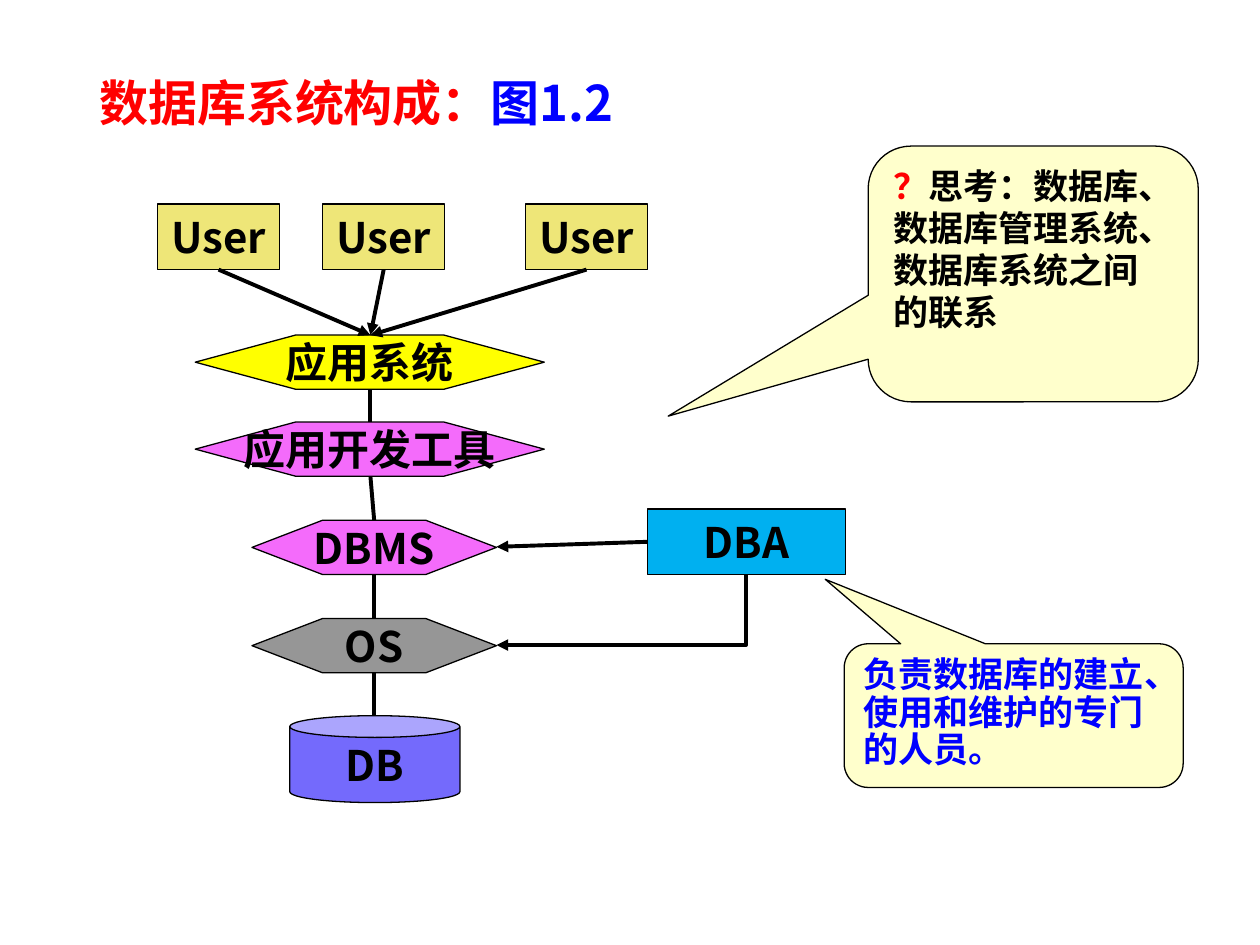
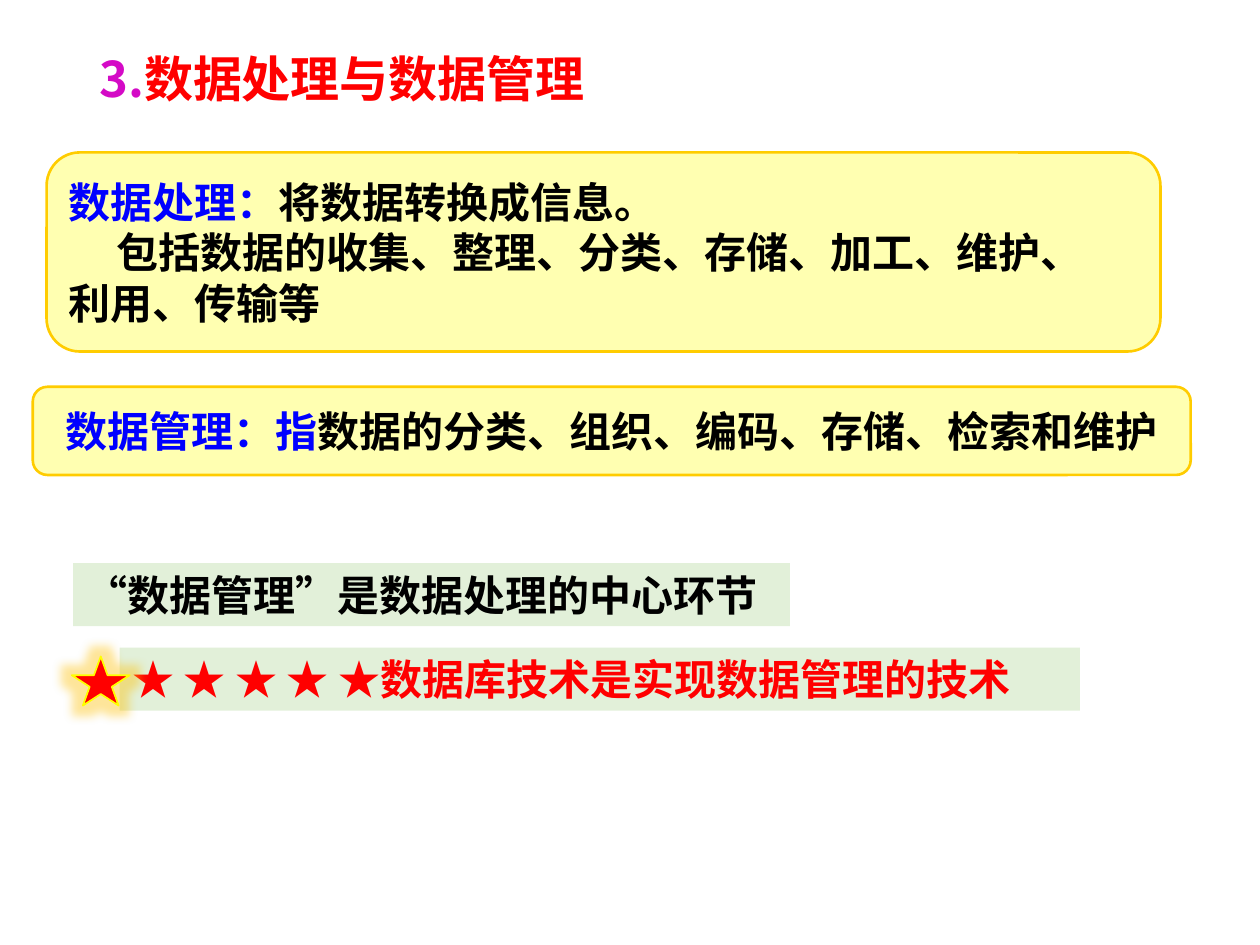
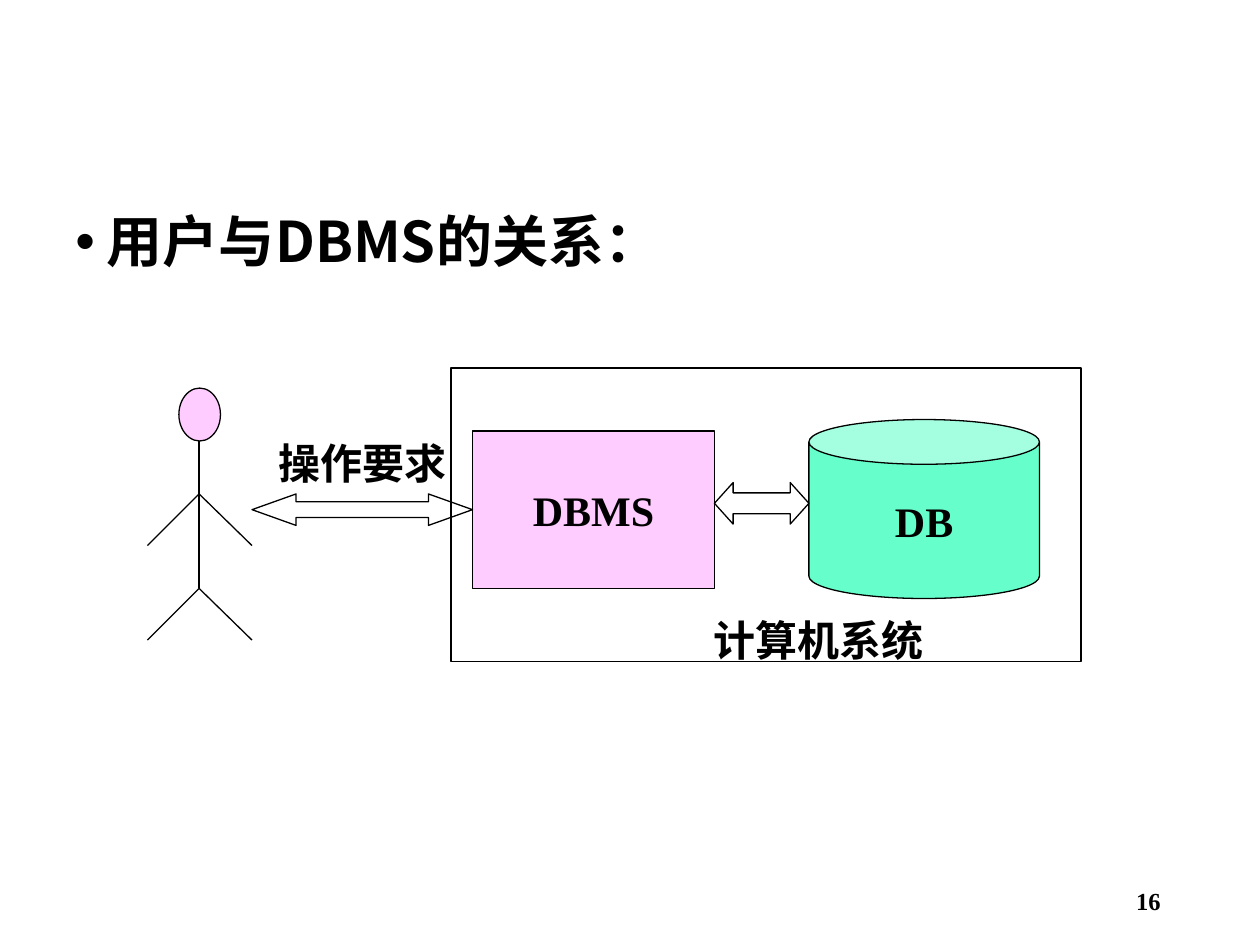
from dataclasses import dataclass
from lxml.etree import SubElement
from pptx import Presentation
from pptx.dml.color import RGBColor
from pptx.enum.shapes import MSO_CONNECTOR, MSO_SHAPE
from pptx.enum.text import MSO_ANCHOR, PP_ALIGN
from pptx.oxml.ns import qn
from pptx.util import Inches, Pt


@dataclass(frozen=True)
class Theme:
    sans: str = "Noto Sans CJK SC"
    serif: str = "Times New Roman"
    latin: str = "Roboto"
    black: str = "000000"
    white: str = "FFFFFF"
    red: str = "FF0000"
    blue: str = "0000FF"
    purple: str = "D40AC6"
    yellow: str = "FFFF00"
    glow: str = "FFC000"
    gold: str = "FFCC00"
    lemon: str = "FFFF99"
    cream: str = "FFFFCC"
    khaki: str = "EEE678"
    pink: str = "F46BFB"
    rose: str = "FFCCFF"
    gray: str = "969696"
    sky: str = "00B0F0"
    violet: str = "746AFC"
    mint: str = "66FFCC"
    leaf: str = "E2F0D9"
    page: int = 14
    note: int = 20
    body: int = 24
    title: int = 28
    head: int = 32
    thin: float = 0.75
    mid: float = 1.5
    thick: float = 2.25


T = Theme()
LEFT, MID, RIGHT = PP_ALIGN.LEFT, PP_ALIGN.CENTER, PP_ALIGN.RIGHT


def put(slide, kind, box, paras=(), fill=None, line=None, width=T.thin, adj=(),
        size=T.body, font=T.sans, align=MID, top=False, wrap=False, space=1):
    """Add a shape, or a text box if kind is None; paras hold (text, colour) runs."""
    area = [Inches(v) for v in box]
    if kind is None:
        shape = slide.shapes.add_textbox(*area)
    else:
        shape = slide.shapes.add_shape(kind, *area)
        shape.shadow.inherit = False
        for i, value in enumerate(adj):
            shape.adjustments[i] = value
        if fill:
            shape.fill.solid()
            shape.fill.fore_color.rgb = RGBColor.from_string(fill)
        else:
            shape.fill.background()
        if line:
            shape.line.color.rgb = RGBColor.from_string(line)
            shape.line.width = Pt(width)
        else:
            shape.line.fill.background()
    frame = shape.text_frame
    frame.word_wrap = wrap
    frame.vertical_anchor = MSO_ANCHOR.TOP if top else MSO_ANCHOR.MIDDLE
    for i, runs in enumerate(paras):
        para = frame.add_paragraph() if i else frame.paragraphs[0]
        para.alignment = align
        para.line_spacing = space
        for text, color in runs:
            run = para.add_run()
            run.text = text
            run.font.size = Pt(size)
            run.font.bold = True
            run.font.color.rgb = RGBColor.from_string(color)
            run.font.name = font
            SubElement(run.font._element, qn("a:ea"), typeface=T.sans)
    return shape


def link(slide, start, end, width=T.thin, arrow=False, kind=MSO_CONNECTOR.STRAIGHT):
    """Draw a black line from start to end."""
    wire = slide.shapes.add_connector(kind, *[Inches(v) for v in (*start, *end)])
    wire.line.color.rgb = RGBColor.from_string(T.black)
    wire.line.width = Pt(width)
    if arrow:
        SubElement(wire.line._get_or_add_ln(), qn("a:tailEnd"), type="triangle")
    SubElement(wire.element.spPr, qn("a:effectLst"))
    return wire


deck = Presentation()
deck.slide_width, deck.slide_height = Inches(10), Inches(7.5)
blank = deck.slide_layouts[6]
one, two, three = [deck.slides.add_slide(blank) for _ in range(3)]

# Titles of the first two slides
for slide, y, runs in (
    (one, 0.4, [("数据库系统构成：", T.red), ("图1.2", T.blue)]),
    (two, 0.21, [("3.", T.purple), ("数据处理与数据管理", T.red)]),
):
    put(slide, None, (0.69, y, 8.62, 0.87), [runs], size=T.title,
        align=LEFT, wrap=True, space=0.9)

# Slide 1: layers of the system
put(one, MSO_SHAPE.CAN, (2.3, 5.68, 1.35, 0.69), [[("DB", T.black)]],
    T.violet, T.black, adj=[0.25])
for text, x, y, w, bend, fill in (
    ("OS", 2, 4.91, 1.94, 1.3, T.gray),
    ("DBMS", 2, 4.13, 1.94, 1.3, T.pink),
    ("应用开发工具", 1.55, 3.35, 2.77, 1.85, T.pink),
    ("应用系统", 1.55, 2.66, 2.77, 1.85, T.yellow),
):
    put(one, MSO_SHAPE.HEXAGON, (x, y, w, 0.43), [[(text, T.black)]],
        fill, T.black, adj=[bend])
for start, end in (
    ((2.97, 5.34), (2.97, 5.68)),
    ((2.97, 4.56), (2.97, 4.91)),
    ((2.94, 3.78), (2.97, 4.13)),
    ((2.94, 3.09), (2.94, 3.35)),
):
    link(one, start, end, T.thick)

# Users and their arrows
for x in (1.25, 2.56, 4.17):
    user = put(one, MSO_SHAPE.RECTANGLE, (x, 1.62, 0.97, 0.52),
               [[("User", T.black)]], T.khaki, T.black)
    wire = link(one, (x + 0.485, 2.14), (2.94, 2.66), T.thick, True)
    wire.begin_connect(user, 2)

# DBA, with a straight arrow to DBMS and a bent one to OS
dba = put(one, MSO_SHAPE.RECTANGLE, (5.14, 4.04, 1.57, 0.52),
          [[("DBA", T.black)]], T.sky, T.black)
wire = link(one, (5.14, 4.3), (3.94, 4.34), T.thick, True)
wire.begin_connect(dba, 1)
bent = link(one, (4.65, 3.85), (5.21, 5.83), T.thick, True, MSO_CONNECTOR.ELBOW)
bent.element.spPr.find(qn("a:prstGeom")).set("prst", "bentConnector2")
bent.element.spPr.find(qn("a:xfrm")).set("rot", str(90 * 60000))

# Callouts
for box, tip, font, space, runs in (
    ((6.7, 5.11, 2.69, 1.14), (-0.556, -0.949), T.latin, 0.9,
     [("负责数据库的建立、使用和维护的专门的人员。", T.blue)]),
    ((6.89, 1.16, 2.62, 2.03), (-1.106, 0.556), T.sans, 1,
     [("？", T.red), ("思考：数据库、数据库管理系统、数据库系统之间的联系", T.black)]),
):
    put(one, MSO_SHAPE.ROUNDED_RECTANGULAR_CALLOUT, box, [runs], T.cream, T.black,
        adj=[*tip, 0.167], size=T.note, font=font, align=LEFT, top=True,
        wrap=True, space=space)

# Slide 2: two definitions on see-through panels
for box, align, paras in (
    ((0.37, 1.21, 8.84, 1.58), LEFT,
     [[("数据处理：", T.blue), ("将数据转换成信息。", T.black)],
      [("包括数据的收集、整理、分类、存储、加工、维护、", T.black)],
      [("利用、传输等", T.black)]]),
    ((0.26, 3.07, 9.19, 0.7), MID,
     [[("数据管理：指", T.blue),
       ("数据的分类、组织、编码、存储、检索和维护", T.black)]]),
):
    panel = put(two, MSO_SHAPE.FLOWCHART_ALTERNATE_PROCESS, box, paras,
                T.lemon, T.gold, T.mid, align=align)
    tint = panel.element.spPr.find(qn("a:solidFill")).find(qn("a:srgbClr"))
    SubElement(tint, qn("a:alpha"), val="76000")
    if len(paras) > 1:
        inset = panel.text_frame.paragraphs[1]._p.get_or_add_pPr()
        inset.set("indent", str(Inches(0.38)))

# Key points
for box, text, color in (
    ((0.58, 4.47, 5.69, 0.5), "“数据管理”是数据处理的中心环节", T.black),
    ((0.95, 5.14, 7.62, 0.5), "★ ★ ★ ★ ★数据库技术是实现数据管理的技术", T.red),
):
    put(two, MSO_SHAPE.RECTANGLE, box, [[(text, color)]], T.leaf, align=LEFT, top=True)

# Glowing star
star = put(two, MSO_SHAPE.STAR_5_POINT, (0.57, 5.21, 0.46, 0.39),
           fill=T.red, line=T.yellow, width=1)
glow = SubElement(star.element.spPr.find(qn("a:effectLst")), qn("a:glow"),
                  rad=str(Pt(11)))
tint = SubElement(glow, qn("a:srgbClr"), val=T.glow)
SubElement(tint, qn("a:alpha"), val="40000")

# Slide 3: page number and heading
put(three, None, (7.06, 6.95, 2.25, 0.4), [[("16", T.black)]], size=T.page,
    font=T.serif, align=RIGHT, wrap=True)
head = put(three, None, (0.5, 1.65, 9.23, 5.48), [[("用户与DBMS的关系：", T.black)]],
           size=T.head, align=LEFT, top=True, wrap=True, space=0.9)
props = head.text_frame.paragraphs[0]._p.get_or_add_pPr()
props.set("marL", str(Inches(0.25)))
props.set("indent", str(Inches(-0.25)))
SubElement(props, qn("a:buFont"), typeface="Arial")
SubElement(props, qn("a:buChar"), char="•")

# Stick figure
put(three, MSO_SHAPE.OVAL, (1.42, 3.08, 0.33, 0.42), fill=T.rose, line=T.black)
link(three, (1.58, 3.5), (1.58, 4.67))
for y in (3.92, 4.67):
    for x in (1.17, 2):
        link(three, (1.58, y), (x, y + 0.41))

# Computer system with DBMS and DB
put(three, MSO_SHAPE.RECTANGLE, (3.58, 2.92, 5, 2.33), fill=T.white, line=T.black)
for kind, box, text, fill, adj in (
    (MSO_SHAPE.RECTANGLE, (3.75, 3.42, 1.92, 1.25), "DBMS", T.rose, []),
    (MSO_SHAPE.CAN, (6.42, 3.33, 1.83, 1.42), "DB", T.mint, [0.25]),
):
    put(three, kind, box, [[(text, T.black)]], fill, T.black, adj=adj, font=T.serif)

# Two-way arrows and labels
for box, bend in (((5.67, 3.83, 0.75, 0.33), 0.45), ((2, 3.92, 1.75, 0.25), 1.4)):
    put(three, MSO_SHAPE.LEFT_RIGHT_ARROW, box, line=T.black, adj=[0.5, bend])
for box, text in (
    ((5.25, 4.83, 2.5, 0.5), "计算机系统"),
    ((2, 3.42, 1.75, 0.5), "操作要求"),
):
    put(three, None, box, [[(text, T.black)]], font=T.serif, top=True, wrap=True)

deck.save("out.pptx")
